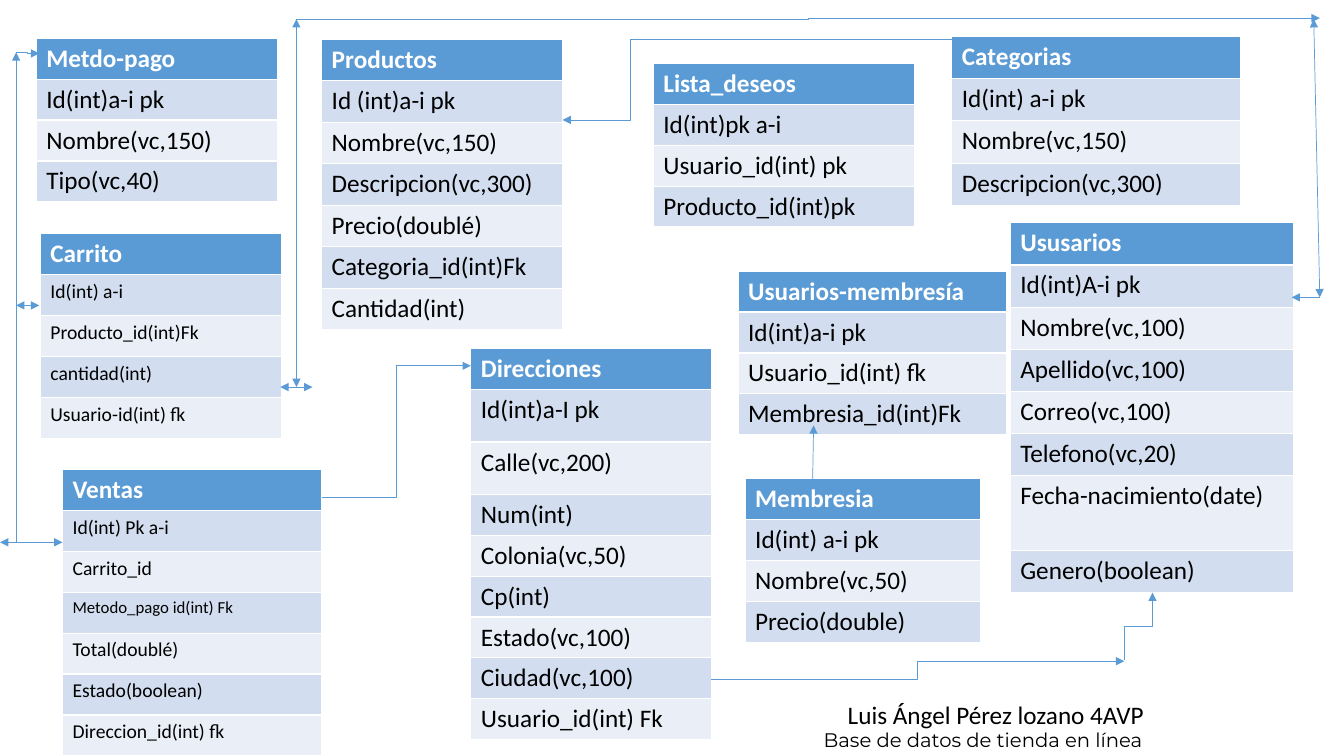
from dataclasses import dataclass, field

from pptx import Presentation
from pptx.dml.color import RGBColor
from pptx.enum.shapes import MSO_CONNECTOR as Kind
from pptx.enum.text import MSO_AUTO_SIZE as Fit
from pptx.oxml.ns import qn
from pptx.oxml.xmlchemy import OxmlElement as make
from pptx.slide import Slide
from pptx.text.text import TextFrame
from pptx.util import Inches, Pt

BLUE, WHITE, BLACK = "5B9BD5", "FFFFFF", "000000"
BANDS = ("D2DEEF", "EAEFF7")


@dataclass
class Entity:
    name: str
    left: float
    top: float
    width: float
    height: float
    fields: list[str]
    size: int = 18
    tall: dict[int, float] = field(default_factory=dict)
    sizes: dict[int, int] = field(default_factory=dict)


@dataclass
class Link:
    start: tuple[float, float]
    end: tuple[float, float]
    bent: bool = False
    both: bool = False
    upright: bool = False
    bend: float = 0.5


ENTITIES = [
    Entity("Categorias", 9.44, 0.36, 2.86, 1.68,
           ["Id(int) a-i pk", "Nombre(vc,150)", "Descripcion(vc,300)"]),
    Entity("Ususarios", 10.02, 2.21, 2.81, 3.67,
           ["Id(int)A-i pk", "Nombre(vc,100)", "Apellido(vc,100)",
            "Correo(vc,100)", "Telefono(vc,20)", "Fecha-nacimiento(date)",
            "Genero(boolean)"], tall={6: 0.74}),
    Entity("Membresia", 7.39, 4.75, 2.34, 1.62,
           ["Id(int) a-i pk", "Nombre(vc,50)", "Precio(double)"]),
    Entity("Usuarios-membresía", 7.32, 2.69, 2.66, 1.62,
           ["Id(int)a-i pk", "Usuario_id(int) fk", "Membresia_id(int)Fk"]),
    Entity("Productos", 3.19, 0.39, 2.39, 2.88,
           ["Id (int)a-i pk", "Nombre(vc,150)", "Descripcion(vc,300)",
            "Precio(doublé)", "Categoria_id(int)Fk", "Cantidad(int)"]),
    Entity("Metdo-pago", 0.36, 0.38, 2.39, 1.62,
           ["Id(int)a-i pk", "Nombre(vc,150)", "Tipo(vc,40)"]),
    Entity("Direcciones", 4.67, 3.46, 2.39, 3.84,
           ["Id(int)a-I pk", "Calle(vc,200)", "Num(int)", "Colonia(vc,50)",
            "Cp(int)", "Estado(vc,100)", "Ciudad(vc,100)",
            "Usuario_id(int) Fk"], tall={1: 0.52, 2: 0.52}),
    Entity("Carrito", 0.4, 2.32, 2.39, 2.03,
           ["Id(int) a-i", "Producto_id(int)Fk", "cantidad(int)",
            "Usuario-id(int) fk"], size=14),
    Entity("Ventas", 0.62, 4.66, 2.57, 2.84,
           ["Id(int) Pk a-i", "Carrito_id", "Metodo_pago id(int) Fk",
            "Total(doublé)", "Estado(boolean)", "Direccion_id(int) fk"],
           size=14, sizes={3: 12}),
    Entity("Lista_deseos", 6.48, 0.63, 2.59, 1.62,
           ["Id(int)pk a-i", "Usuario_id(int) pk", "Producto_id(int)pk"]),
]

LINKS = [
    Link((10.36, 0.39), (5.58, 1.19), bent=True, bend=0.86),
    Link((7.05, 6.74), (11.15, 6.56), bent=True),
    Link((11.15, 6.55), (11.43, 5.88), bent=True, upright=True),
    Link((8.06, 4.76), (8.07, 4.22)),
    Link((3.19, 4.93), (4.67, 3.63), bent=True),
    Link((0.62, 5.38), (0, 5.38), both=True),
    Link((0.16, 5.38), (0.16, 0.52)),
    Link((0.16, 0.52), (0.39, 0.53), bent=True),
    Link((0.16, 3.03), (0.39, 3.03), both=True),
    Link((2.78, 3.84), (3.1, 3.84), both=True),
    Link((2.94, 3.84), (2.94, 0.19), both=True),
    Link((2.94, 0.19), (13.09, 0.18), bent=True),
    Link((13.03, 0.19), (13.09, 2.95), both=True),
    Link((13.09, 2.95), (12.81, 2.95)),
]


def color(code: str) -> RGBColor:
    return RGBColor.from_string(code)


def write(frame: TextFrame, text: str, *, size: int = 18, ink: str = BLACK,
          bold: bool = False, face: str = "Calibri") -> None:
    run = frame.paragraphs[0].add_run()
    run.text = text
    font = run.font
    font.name, font.size, font.bold = face, Pt(size), bold
    font.color.rgb = color(ink)


def draw_table(slide: Slide, item: Entity) -> None:
    """Share the height left by the tall rows among the others."""
    count = len(item.fields) + 1
    share = (item.height - sum(item.tall.values())) / (count - len(item.tall))
    grid = slide.shapes.add_table(
        count, 1, Inches(item.left), Inches(item.top),
        Inches(item.width), Inches(item.height)).table
    for i, text in enumerate([item.name, *item.fields]):
        grid.rows[i].height = Inches(item.tall.get(i, share))
        cell = grid.cell(i, 0)
        cell.fill.solid()
        if i == 0:
            cell.fill.fore_color.rgb = color(BLUE)
            write(cell.text_frame, text, ink=WHITE, bold=True)
        else:
            cell.fill.fore_color.rgb = color(BANDS[(i - 1) % 2])
            write(cell.text_frame, text, size=item.sizes.get(i, item.size))


def draw_link(slide: Slide, link: Link) -> None:
    """Draw an arrow; an upright one is laid flat, then turned 90 degrees."""
    (ax, ay), (bx, by) = link.start, link.end
    if link.upright:
        mx, my = (ax + bx) / 2, (ay + by) / 2
        ax, ay, bx, by = (mx + ay - my, my - ax + mx,
                          mx + by - my, my - bx + mx)
    line = slide.shapes.add_connector(
        Kind.ELBOW if link.bent else Kind.STRAIGHT,
        Inches(ax), Inches(ay), Inches(bx), Inches(by))
    line.line.color.rgb = color(BLUE)
    line.line.width = Pt(0.5)
    props = line.element.spPr
    if link.upright:
        props.find(qn("a:xfrm")).set("rot", str(90 * 60000))
    if link.bend != 0.5:
        guide = make("a:gd")
        guide.set("name", "adj1")
        guide.set("fmla", f"val {round(link.bend * 100000)}")
        props.find(qn("a:prstGeom")).find(qn("a:avLst")).append(guide)
    for tag in ["a:headEnd"] * link.both + ["a:tailEnd"]:
        tip = make(tag)
        tip.set("type", "triangle")
        props.find(qn("a:ln")).append(tip)
    props.append(make("a:effectLst"))


def draw_note(slide: Slide, text: str, left: float, top: float, width: float,
              height: float, **style) -> None:
    box = slide.shapes.add_textbox(
        Inches(left), Inches(top), Inches(width), Inches(height))
    box.text_frame.word_wrap = True
    box.text_frame.auto_size = Fit.SHAPE_TO_FIT_TEXT
    write(box.text_frame, text, **style)


def main() -> None:
    deck = Presentation()
    deck.slide_width, deck.slide_height = Inches(13.33), Inches(7.5)
    slide = deck.slides.add_slide(deck.slide_layouts[6])
    for item in ENTITIES:
        draw_table(slide, item)
    for link in LINKS:
        draw_link(slide, link)
    draw_note(slide, "Base de datos de tienda en línea",
              8.07, 7.17, 3.94, 0.34, size=14, face="Montserrat")
    draw_note(slide, "Luis Ángel Pérez lozano 4AVP", 8.31, 6.89, 3.47, 0.4)
    deck.save("out.pptx")


if __name__ == "__main__":
    main()
